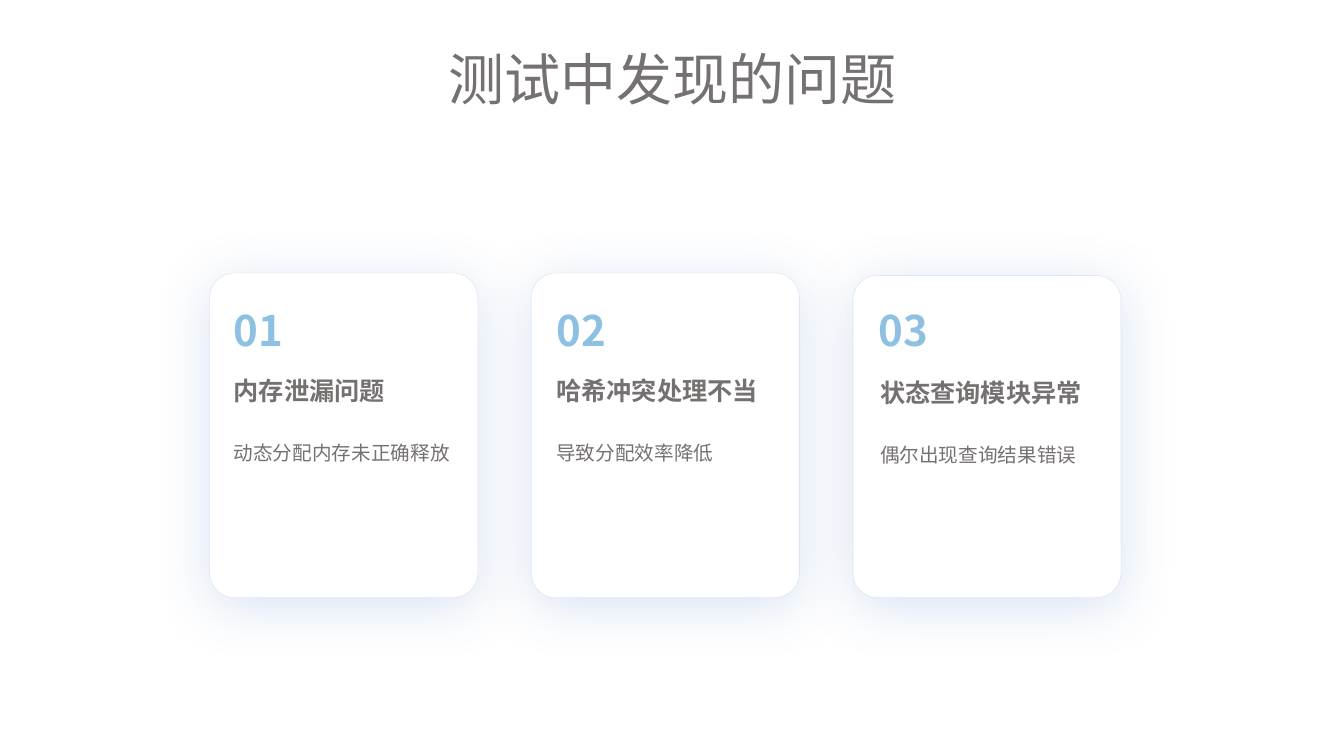
from dataclasses import dataclass

import lxml.etree
import pptx
import pptx.dml.color
import pptx.enum.shapes
import pptx.enum.text
import pptx.oxml.ns
import pptx.slide
import pptx.text.text
import pptx.util

Pt = pptx.util.Pt
qn = pptx.oxml.ns.qn
RGB = pptx.dml.color.RGBColor
ALIGN = pptx.enum.text.PP_ALIGN
ANCHOR = pptx.enum.text.MSO_ANCHOR


@dataclass(frozen=True)
class Theme:
    font: str = "Noto Sans CJK SC"
    text: str = "767171"
    number: str = "8EC0E4"
    card: str = "FFFFFF"
    edge: str = "4472C4"
    title_size: int = 40
    number_size: int = 30
    heading_size: int = 18
    body_size: int = 14


@dataclass(frozen=True)
class Issue:
    number: str
    heading: str
    body: str
    shift: float = 0  # offset of the heading and body to the right
    drop: float = 0  # offset of the card top, heading and body downwards


THEME = Theme()
ISSUES = [
    Issue("01", "内存泄漏问题", "动态分配内存未正确释放"),
    Issue("02", "哈希冲突处理不当", "导致分配效率降低"),
    Issue("03", "状态查询模块异常", "偶尔出现查询结果错误", shift=0.8, drop=1.7),
]

# Card grid, in points
CARD_LEFT, CARD_TOP, CARD_PITCH = 149.8, 195, 229.7
CARD_WIDTH, CARD_BOTTOM = 191.5, 427
TEXT_LEFT, TEXT_PITCH, TEXT_WIDTH = 167, 230.4, 156.2


def write(tf: pptx.text.text.TextFrame, text: str, size: int, color: str,
          bold: bool = False, align: ALIGN = ALIGN.LEFT,
          spacing: float = 1.0, anchor: ANCHOR = ANCHOR.MIDDLE) -> None:
    """Fill a text frame with one formatted paragraph."""
    tf.text = text
    tf.vertical_anchor = anchor
    p = tf.paragraphs[0]
    p.alignment = align
    p.line_spacing = spacing
    r = p.runs[0]
    r.font.size = Pt(size)
    r.font.bold = bold
    r.font.color.rgb = RGB.from_string(color)
    r.font.name = THEME.font
    rpr = r._r.get_or_add_rPr()
    lxml.etree.SubElement(rpr, qn("a:ea"), typeface=THEME.font)


def add_label(s: pptx.slide.Slide, left: float, top: float, height: float,
              wrap: bool = True) -> pptx.text.text.TextFrame:
    """Add a text box without margins."""
    box = s.shapes.add_textbox(Pt(left), Pt(top), Pt(TEXT_WIDTH), Pt(height))
    tf = box.text_frame
    tf.word_wrap = wrap
    tf.margin_left = tf.margin_right = tf.margin_top = tf.margin_bottom = 0
    return tf


def add_card(s: pptx.slide.Slide, left: float, top: float) -> None:
    """Add a white rounded card with a faint edge and a soft glow."""
    sp = s.shapes.add_shape(
        pptx.enum.shapes.MSO_SHAPE.ROUNDED_RECTANGLE,
        Pt(left), Pt(top), Pt(CARD_WIDTH), Pt(CARD_BOTTOM - top))
    sp.adjustments[0] = 0.093
    sp.fill.solid()
    sp.fill.fore_color.rgb = RGB.from_string(THEME.card)
    sp.line.width = Pt(0.25)
    sp.line.color.rgb = RGB.from_string(THEME.edge)
    sp.shadow.inherit = False

    # Transparent edge and blurred shadow
    spPr = sp._element.spPr
    edge = spPr.find(qn("a:ln")).find(".//" + qn("a:srgbClr"))
    shadow = lxml.etree.SubElement(
        spPr.find(qn("a:effectLst")), qn("a:outerShdw"),
        blurRad=str(Pt(40)), dist=str(Pt(6)), dir="5400000",
        algn="t", rotWithShape="0")
    glow = lxml.etree.SubElement(shadow, qn("a:srgbClr"), val=THEME.edge)
    for color in (edge, glow):
        lxml.etree.SubElement(color, qn("a:alpha"), val="20000")


def add_issue(s: pptx.slide.Slide, index: int, issue: Issue) -> None:
    """Add one card with its number, heading and description."""
    add_card(s, CARD_LEFT + index * CARD_PITCH, CARD_TOP + issue.drop)
    left = TEXT_LEFT + index * TEXT_PITCH
    write(add_label(s, left, 217.4, 36, wrap=False),
          issue.number, THEME.number_size, THEME.number, bold=True)
    left += issue.shift
    write(add_label(s, left, 306.2 + issue.drop, 106),
          issue.body, THEME.body_size, THEME.text,
          align=ALIGN.JUSTIFY, spacing=1.5, anchor=ANCHOR.TOP)
    write(add_label(s, left, 257.6 + issue.drop, 42.5),
          issue.heading, THEME.heading_size, THEME.text, bold=True)


def main() -> None:
    prs = pptx.Presentation()
    prs.slide_width, prs.slide_height = Pt(960), Pt(540)
    s = prs.slides.add_slide(prs.slide_layouts[5])

    # Title
    title = s.shapes.title
    title.left, title.top = Pt(278.6), Pt(22.3)
    title.width, title.height = Pt(403.2), Pt(72.7)
    write(title.text_frame, "测试中发现的问题", THEME.title_size, THEME.text,
          align=ALIGN.CENTER, spacing=0.9)

    # Issue cards
    for index, issue in enumerate(ISSUES):
        add_issue(s, index, issue)

    prs.save("out.pptx")


if __name__ == "__main__":
    main()
